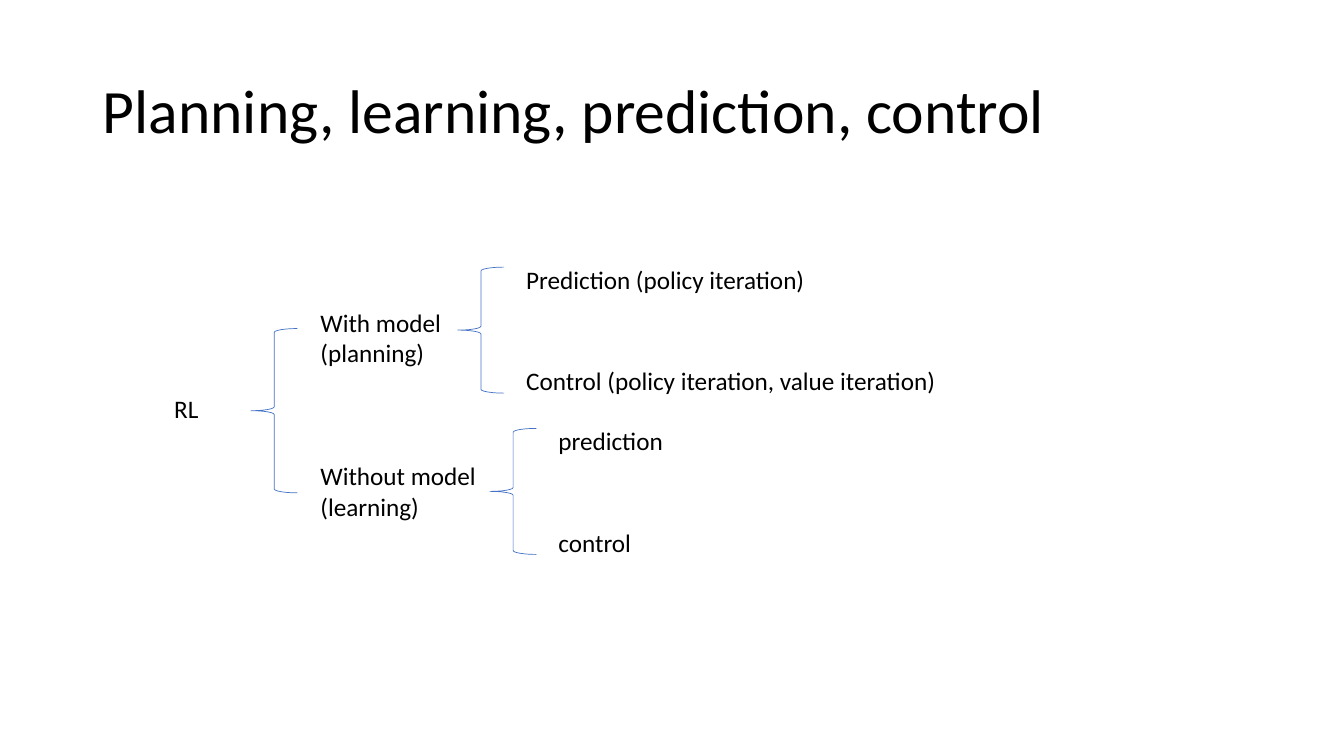
from pptx import Presentation
from pptx.dml.color import RGBColor
from pptx.enum import shapes, text
from pptx.util import Inches, Pt

COLORS = {"ink": "000000", "brace": "4472C4"}
FONT = "Calibri"

# left, top, width, height, wording
LABELS = [
    (1.63, 3.85, 0.63, 0.4, "RL"),
    (3.08, 3, 2.13, 0.71, "With model (planning)"),
    (3.08, 4.52, 2.13, 0.71, "Without model (learning)"),
    (5.12, 2.57, 3.21, 0.4, "Prediction (policy iteration)"),
    (5.12, 3.58, 4.94, 0.4, "Control (policy iteration, value iteration)"),
    (5.44, 4.17, 2.13, 0.4, "prediction"),
    (5.44, 5.18, 2.13, 0.4, "control"),
]

# left, top, height
BRACES = [(2.49, 3.26, 1.63), (4.54, 2.65, 1.25), (4.86, 4.25, 1.25)]
BRACE_WIDTH = 0.46


def color(name):
    return RGBColor.from_string(COLORS[name])


def write(frame, words, size):
    frame.text = words
    frame.word_wrap = True
    para = frame.paragraphs[0]
    para.alignment = text.PP_ALIGN.LEFT
    font = para.runs[0].font
    font.name = FONT
    font.size = Pt(size)
    font.color.rgb = color("ink")


def set_title(slide, words):
    title = slide.shapes.title
    title.left, title.top = Inches(0.92), Inches(0.4)
    title.width, title.height = Inches(11.5), Inches(1.45)
    frame = title.text_frame
    write(frame, words, 44)
    frame.vertical_anchor = text.MSO_ANCHOR.MIDDLE
    frame.paragraphs[0].line_spacing = 0.9


def add_label(slide, left, top, width, height, words):
    box = slide.shapes.add_textbox(
        Inches(left), Inches(top), Inches(width), Inches(height))
    write(box.text_frame, words, 18)
    box.text_frame.auto_size = text.MSO_AUTO_SIZE.SHAPE_TO_FIT_TEXT


def add_brace(slide, left, top, height):
    brace = slide.shapes.add_shape(
        shapes.MSO_SHAPE.LEFT_BRACE,
        Inches(left), Inches(top), Inches(BRACE_WIDTH), Inches(height))
    brace.shadow.inherit = False
    brace.fill.background()
    brace.line.color.rgb = color("brace")
    brace.line.width = Pt(0.5)


def main():
    deck = Presentation()
    deck.slide_width, deck.slide_height = Inches(13.33), Inches(7.5)
    slide = deck.slides.add_slide(deck.slide_layouts.get_by_name("Title Only"))
    set_title(slide, "Planning, learning, prediction, control")
    for label in LABELS:
        add_label(slide, *label)
    for brace in BRACES:
        add_brace(slide, *brace)
    deck.save("out.pptx")


if __name__ == "__main__":
    main()
